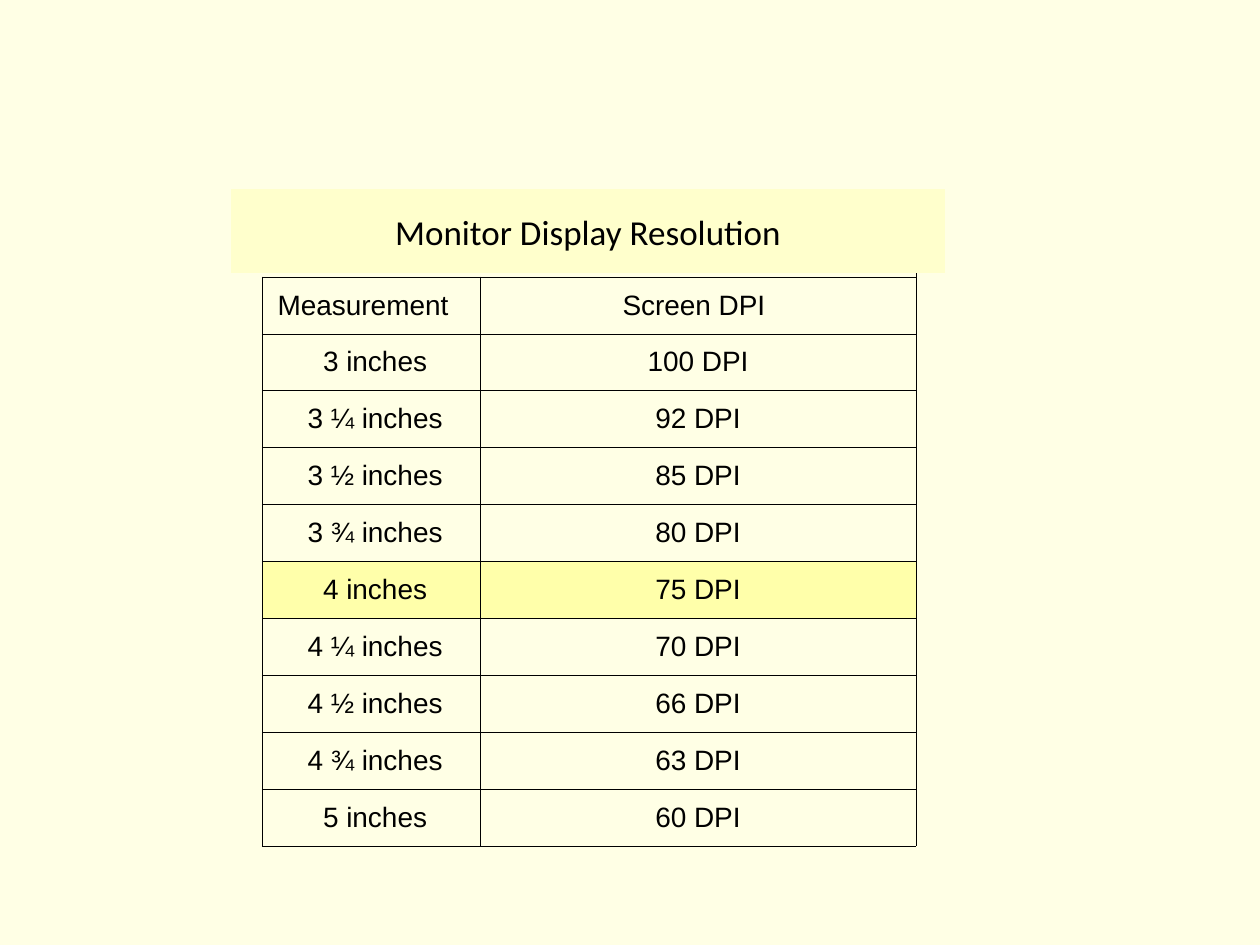
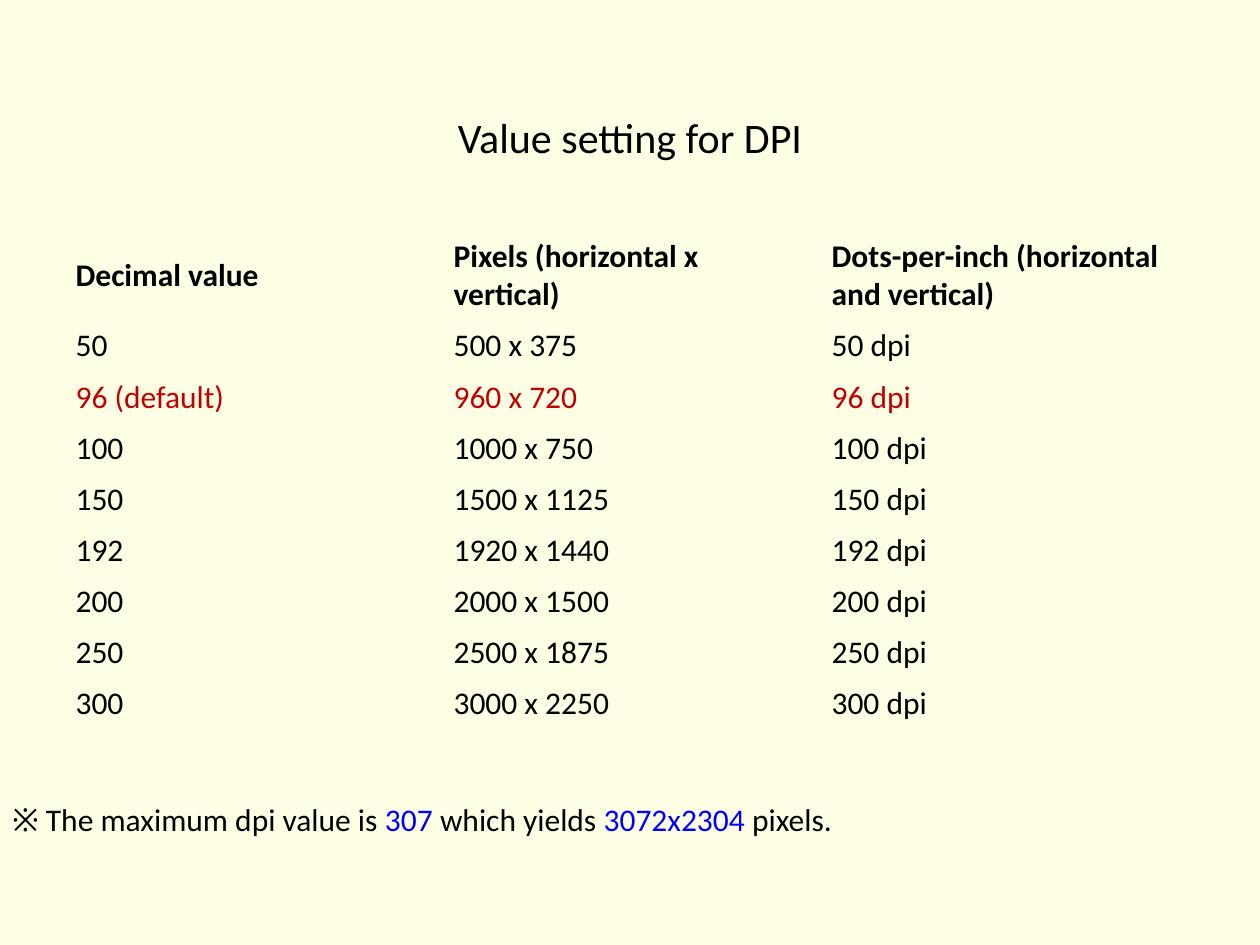
from dataclasses import dataclass

from lxml.etree import SubElement
from pptx import Presentation
from pptx.dml.color import RGBColor
from pptx.enum.text import MSO_ANCHOR, MSO_AUTO_SIZE, PP_ALIGN
from pptx.oxml.ns import qn
from pptx.util import Pt

PX = 914400 / 126
NO_STYLE = "{2D5ABB26-0587-4C30-8999-92F81FD0307C}"
EDGES = "LRTB"


@dataclass(frozen=True)
class Theme:
    page: str = "FFFFE5"
    band: str = "FFFFCC"
    mark: str = "FFFFAA"
    ink: str = "000000"
    red: str = "C00000"
    blue: str = "0000FF"
    sans: str = "Calibri"
    grid: str = "Arial"
    head: int = 24
    label: int = 20
    body: int = 18
    small: int = 16
    rule: float = 0.34


THEME = Theme()

SCREENS = [
    ("Measurement", "Screen DPI"),
    ("3 inches", "100 DPI"),
    ("3 ¼ inches", "92 DPI"),
    ("3 ½ inches", "85 DPI"),
    ("3 ¾ inches", "80 DPI"),
    ("4 inches", "75 DPI"),
    ("4 ¼ inches", "70 DPI"),
    ("4 ½ inches", "66 DPI"),
    ("4 ¾ inches", "63 DPI"),
    ("5 inches", "60 DPI"),
]

VALUES = [
    ("Decimal value", "Pixels (horizontal x vertical)",
     "Dots-per-inch (horizontal and vertical)"),
    ("50", "500 x 375", "50 dpi"),
    ("96 (default)", "960 x 720", "96 dpi"),
    ("100", "1000 x 750", "100 dpi"),
    ("150", "1500 x 1125", "150 dpi"),
    ("192", "1920 x 1440", "192 dpi"),
    ("200", "2000 x 1500", "200 dpi"),
    ("250", "2500 x 1875", "250 dpi"),
    ("300", "3000 x 2250", "300 dpi"),
]


def px(count):
    return round(count * PX)


def rgb(code):
    return RGBColor.from_string(code)


def add_run(para, text, size, color=THEME.ink, face=THEME.sans, bold=False):
    run = para.add_run()
    run.text = text
    font = run.font
    font.size, font.name, font.bold = Pt(size), face, bold
    font.color.rgb = rgb(color)


def add_title(slide, text, box, size, fill=None):
    """Place the title above everything drawn so far."""
    title = slide.shapes.title
    title.left, title.top, title.width, title.height = map(px, box)
    if fill:
        title.fill.solid()
        title.fill.fore_color.rgb = rgb(fill)
    frame = title.text_frame
    frame.auto_size = MSO_AUTO_SIZE.NONE
    frame.vertical_anchor = MSO_ANCHOR.MIDDLE
    para = frame.paragraphs[0]
    para.alignment = PP_ALIGN.CENTER
    add_run(para, text, size)
    slide.shapes._spTree.append(title._element)


def add_note(slide, parts, box):
    frame = slide.shapes.add_textbox(*map(px, box)).text_frame
    frame.word_wrap = True
    for text, color in parts:
        add_run(frame.paragraphs[0], text, THEME.body, color)


def add_grid(slide, left, top, widths, heights):
    """Add a table without style or fill."""
    frame = slide.shapes.add_table(
        len(heights), len(widths), px(left), px(top),
        px(sum(widths)), px(sum(heights)))
    table = frame.table
    table._tbl.tblPr.find(qn("a:tableStyleId")).text = NO_STYLE
    table.first_row = table.horz_banding = False
    for col, width in zip(table.columns, widths):
        col.width = px(width)
    for row, height in zip(table.rows, heights):
        row.height = px(height)
    for cell in table.iter_cells():
        cell.vertical_anchor = MSO_ANCHOR.MIDDLE
        cell.fill.background()
    return table


def rule_cell(cell, edges):
    """Draw the named edges; lines must come before the fill."""
    props = cell._tc.get_or_add_tcPr()
    for spot, edge in enumerate(e for e in EDGES if e in edges):
        line = SubElement(props, qn(f"a:ln{edge}"), w=str(Pt(THEME.rule)))
        fill = SubElement(line, qn("a:solidFill"))
        SubElement(fill, qn("a:srgbClr"), val=THEME.ink)
        props.insert(spot, line)


def add_slide(deck):
    return deck.slides.add_slide(deck.slide_layouts[5])


def screen_slide(deck):
    slide = add_slide(deck)
    table = add_grid(slide, 262, 220, (218, 436), [56.9] * (len(SCREENS) + 1))
    for cell, edges in zip(table.rows[0].cells, ("B", "RTB")):
        rule_cell(cell, edges)
    for r, texts in enumerate(SCREENS, 1):
        for c, text in enumerate(texts):
            cell = table.cell(r, c)
            rule_cell(cell, EDGES)
            # Headings sit slightly left of centre, measures slightly right.
            cell.margin_left = px(19 if r > 1 and c == 0 else 11)
            cell.margin_right = px((27, 19)[c] if r == 1 else 11)
            if text in ("4 inches", "75 DPI"):
                cell.fill.solid()
                cell.fill.fore_color.rgb = rgb(THEME.mark)
            para = cell.text_frame.paragraphs[0]
            para.alignment = PP_ALIGN.CENTER
            add_run(para, text, THEME.small, face=THEME.grid)
    add_title(slide, "Monitor Display Resolution", (231, 189, 714, 84),
              THEME.label, THEME.band)


def value_slide(deck):
    slide = add_slide(deck)
    heights = [88] + [50] * (len(VALUES) - 1)
    table = add_grid(slide, 63, 231, [378] * 3, heights)
    for r, texts in enumerate(VALUES):
        color = THEME.red if "default" in texts[0] else THEME.ink
        for c, text in enumerate(texts):
            para = table.cell(r, c).text_frame.paragraphs[0]
            add_run(para, text, THEME.body, color, bold=r == 0)
    add_title(slide, "Value setting for DPI", (0, 105, 1260, 63), THEME.head)
    add_note(slide, [
        ("※ The maximum dpi value is ", THEME.ink),
        ("307 ", THEME.blue),
        ("which yields ", THEME.ink),
        ("3072x2304", THEME.blue),
        (" pixels.", THEME.ink),
    ], (0, 794, 1260, 50))


def main():
    deck = Presentation()
    deck.slide_width, deck.slide_height = px(1260), px(945)
    page = deck.slide_master.background.fill
    page.solid()
    page.fore_color.rgb = rgb(THEME.page)
    screen_slide(deck)
    value_slide(deck)
    deck.save("out.pptx")


if __name__ == "__main__":
    main()
